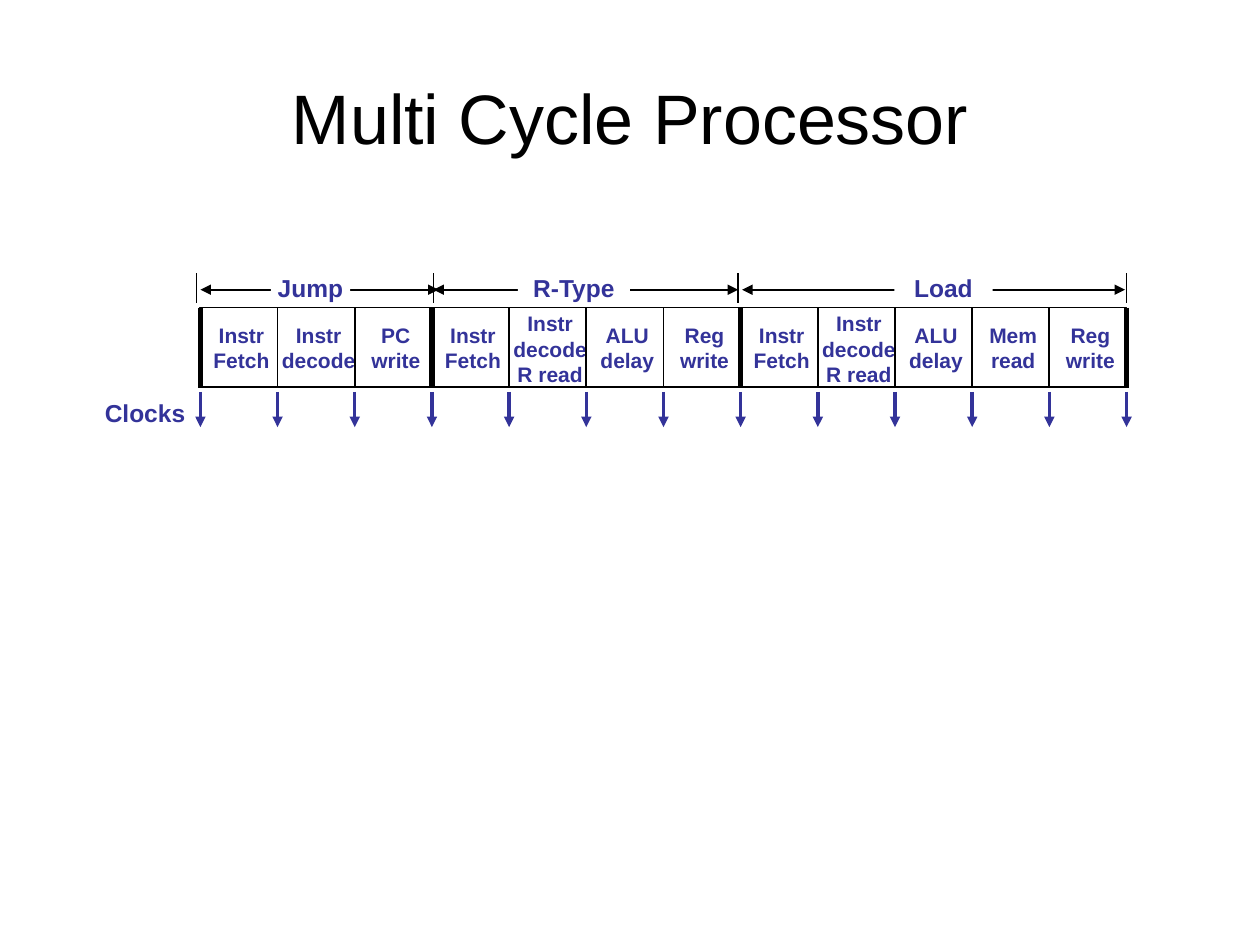
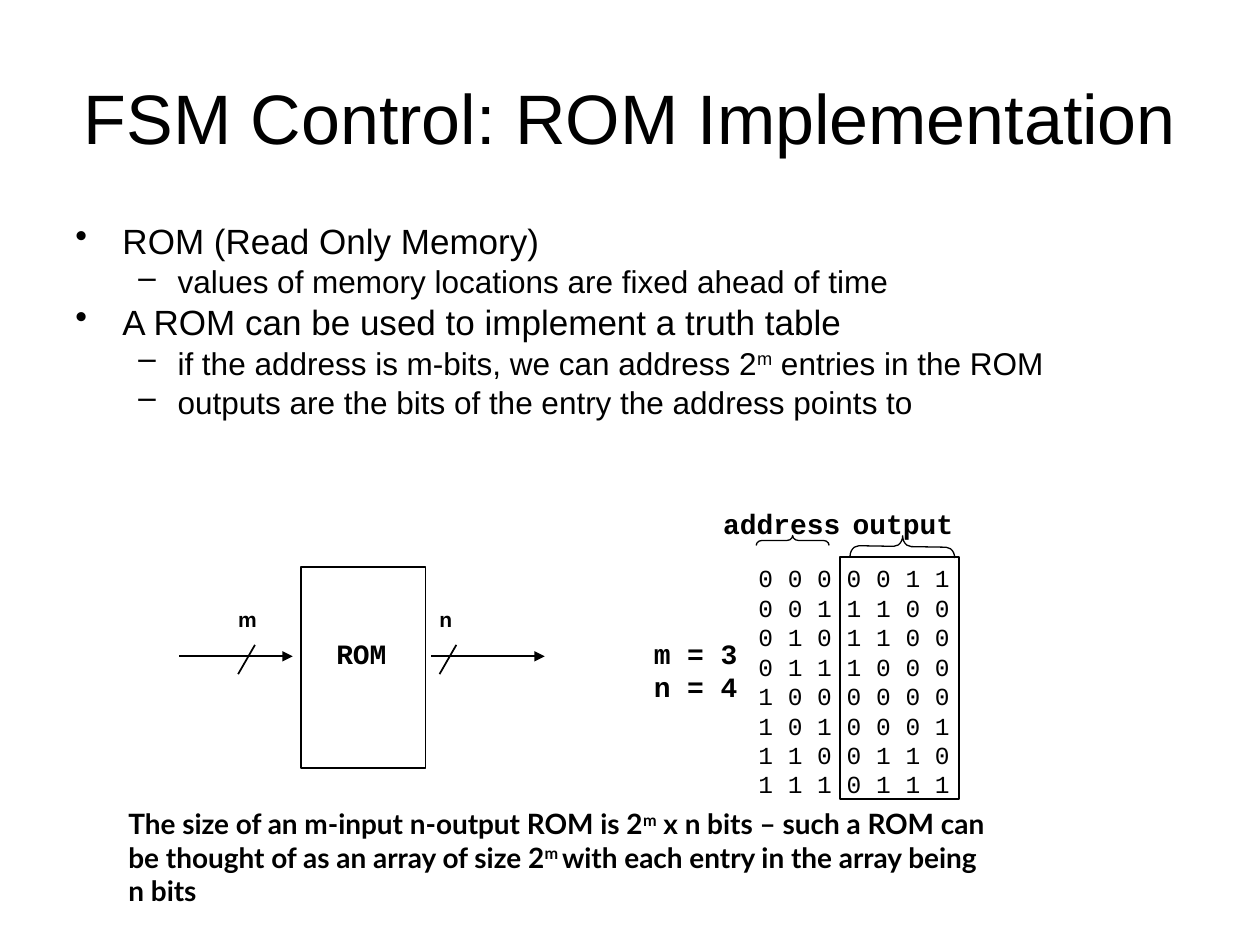
from pptx import Presentation
from pptx.dml.color import RGBColor
from pptx.enum.shapes import MSO_CONNECTOR as Link, MSO_SHAPE as Form
from pptx.enum.text import MSO_ANCHOR as Anchor, PP_ALIGN as Align
from pptx.oxml.ns import qn
from pptx.util import Cm, Pt
from lxml.etree import SubElement

hue = RGBColor.from_string
BLACK, WHITE, BLUE = "000000", "FFFFFF", "333399"
SANS, MONO = "Arial", "Courier New"


def write(text, box, size=14, font=SANS, color=BLACK, bold=False, align=Align.LEFT,
          anchor=Anchor.TOP, pad=(0.25, 0.13), fill=None, edge=None):
    """Place text in a box; each line is a paragraph, and ^marks^ enclose superscripts."""
    spot = [Cm(n) for n in box]
    if fill or edge:
        shape = page.shapes.add_shape(Form.RECTANGLE, *spot)
        shape.shadow.inherit = False
        if fill:
            shape.fill.solid()
            shape.fill.fore_color.rgb = hue(fill)
        else:
            shape.fill.background()
        if edge:
            shape.line.color.rgb = hue(edge)
            shape.line.width = Pt(1)
        else:
            shape.line.fill.background()
    else:
        shape = page.shapes.add_textbox(*spot)
    frame = shape.text_frame
    frame.word_wrap = True
    frame.vertical_anchor = anchor
    frame.margin_left = frame.margin_right = Cm(pad[0])
    frame.margin_top = frame.margin_bottom = Cm(pad[1])
    for row, line in enumerate(text.split("\n")):
        para = frame.paragraphs[0] if row == 0 else frame.add_paragraph()
        para.alignment = align
        for part, words in enumerate(line.split("^")):
            if not words:
                continue
            run = para.add_run()
            run.text = words
            run.font.size, run.font.name, run.font.bold = Pt(size), font, bold
            run.font.color.rgb = hue(color)
            if part % 2:
                run._r.get_or_add_rPr().set("baseline", "30000")
    return shape


def draw(x1, y1, x2, y2, color=BLACK, width=1, heads=()):
    """Draw a line; heads may name headEnd and tailEnd, in that order."""
    link = page.shapes.add_connector(Link.STRAIGHT, Cm(x1), Cm(y1), Cm(x2), Cm(y2))
    link.line.color.rgb = hue(color)
    link.line.width = Pt(width)
    for end in heads:
        SubElement(link.line._get_or_add_ln(), qn("a:" + end), type="triangle")
    SubElement(link._element.spPr, qn("a:effectLst"))


deck = Presentation()
deck.slide_width, deck.slide_height = Cm(25.4), Cm(19.05)
pages = []
for title in ("Multi Cycle Processor", "FSM Control: ROM Implementation"):
    page = deck.slides.add_slide(deck.slide_layouts[6])
    write(title, (1.27, 0.76, 22.86, 3.18), size=40, align=Align.CENTER, anchor=Anchor.MIDDLE)
    pages.append(page)

# Slide 1: the cycles of three instructions
page = pages[0]
LEFT, STEP = 4.04, 18.67 / 12
TOP, TALL = 6.2, 1.6
FETCH, READ = "Instr\nFetch", "Instr decode R read"
label = dict(color=BLUE, bold=True, align=Align.CENTER, pad=(0, 0))

# name, span start, span end, name left, name width, stages
kinds = [
    ("Jump", 4.04, 8.84, 5.46, 1.6, [FETCH, "Instr decode", "PC write"]),
    ("R-Type", 8.74, 14.88, 10.44, 2.26, [FETCH, READ, "ALU delay", "Reg write"]),
    ("Load", 14.96, 22.68, 18.03, 1.98,
     [FETCH, READ, "ALU delay", "Mem read", "Reg write"]),
]
cell, bounds = 0, [0]
for name, start, end, left, width, stages in kinds:
    draw(start, 5.84, end, 5.84, heads=("headEnd", "tailEnd"))
    write(name, (left, 5.51, width, 0.58), fill=WHITE, anchor=Anchor.MIDDLE, **label)
    for stage in stages:
        x = LEFT + cell * STEP
        write("", (x, TOP, STEP, TALL), edge=BLACK)
        wide = 1.78 if "decode" in stage else 1.32
        drop = 6.27 if stage == READ else 6.5
        write(stage, (x + (STEP - wide) / 2 + 0.05, drop, wide, 1.02), size=12, **label)
        cell += 1
    bounds.append(cell)

for x in (3.96, 8.74, 14.88, 22.71):
    draw(x, 5.51, x, 6.1)
for bound in bounds:
    x = LEFT + bound * STEP
    draw(x, TOP, x, TOP + TALL + 0.03, width=3)
for tick in range(cell + 1):
    x = LEFT + tick * STEP
    draw(x, 7.9, x, 8.61, color=BLUE, width=2, heads=("tailEnd",))
write("Clocks", (2.0, 8.03, 1.85, 0.58), anchor=Anchor.MIDDLE, **label)

# Slide 2: the ROM and its truth table
page = pages[1]
points = [
    (0, "ROM (Read Only Memory)"),
    (1, "values of memory locations are fixed ahead of time"),
    (0, "A ROM can be used to implement a truth table"),
    (1, "if the address is m-bits, we can address 2^m^ entries in the ROM"),
    (1, "outputs are the bits of the entry the address points to"),
]
# size, space before, left margin, indent, bullet
ranks = [(20, 5, 0.95, -0.95, "•"), (18, 5, 2.06, -0.79, "–")]
body = write("\n".join(text for _, text in points), (1.27, 4.45, 22.86, 5))
for (rank, _), para in zip(points, body.text_frame.paragraphs):
    size, space, margin, indent, mark = ranks[rank]
    para.level, para.line_spacing, para.space_before = rank, 0.8, Pt(space)
    for run in para.runs:
        run.font.size = Pt(size)
    props = para._p.get_or_add_pPr()
    props.set("marL", str(Cm(margin)))
    props.set("indent", str(Cm(indent)))
    SubElement(props, qn("a:buChar"), char=mark)

bold = dict(size=16, font=MONO, bold=True)
write("", (6.07, 11.43, 2.51, 4.06), fill=WHITE, edge=BLACK)
write("ROM", (6.53, 12.7, 1.8, 0.94), **bold)
for name, start, slash, left in (("m", 3.61, 4.8, 4.75), ("n", 8.69, 8.86, 8.81)):
    draw(start, 13.23, start + 2.29, 13.23, heads=("tailEnd",))
    draw(slash + 0.34, 13, slash, 13.59)
    write(name, (left, 12.14, 1.2, 0.84), size=12, bold=True, pad=(0.05, 0.08))

write("m = 3\nn = 4", (12.93, 12.7, 2.4, 1.63), **bold)
outputs = ("0011", "1100", "1100", "1000", "0000", "0001", "0110", "0111")
rows = [" ".join(f"{spot:03b}{bits}") for spot, bits in enumerate(outputs)]
write("\n".join(rows), (15.04, 11.23, 4.6, 4.98), font=MONO)
write("", (16.94, 11.23, 2.39, 4.88), edge=BLACK)

# name, name left, brace box, brace turn, brace curve
heads = [
    ("address", 14.33, (15.88, 10.16, 0.2, 1.47), 270, 0.58),
    ("output", 16.94, (17.98, 9.96, 0.43, 2.11), 271, 0.41),
]
for name, left, box, turn, curve in heads:
    write(name, (left, 10.08, 3.2, 0.94), **bold)
    brace = page.shapes.add_shape(Form.RIGHT_BRACE, *[Cm(n) for n in box])
    brace.shadow.inherit = False
    brace.rotation = turn
    brace.adjustments[0] = curve
    brace.fill.background()
    brace.line.color.rgb = hue(BLACK)
    brace.line.width = Pt(0.75)

write("The size of an m-input n-output ROM is 2^m^ x n bits – such a ROM can\n"
      "be thought of as an array of size 2^m ^with each entry in the array being\n"
      "n bits", (2.34, 16.13, 20.02, 2.29), size=16, font="Lato", bold=True)

deck.save("out.pptx")
